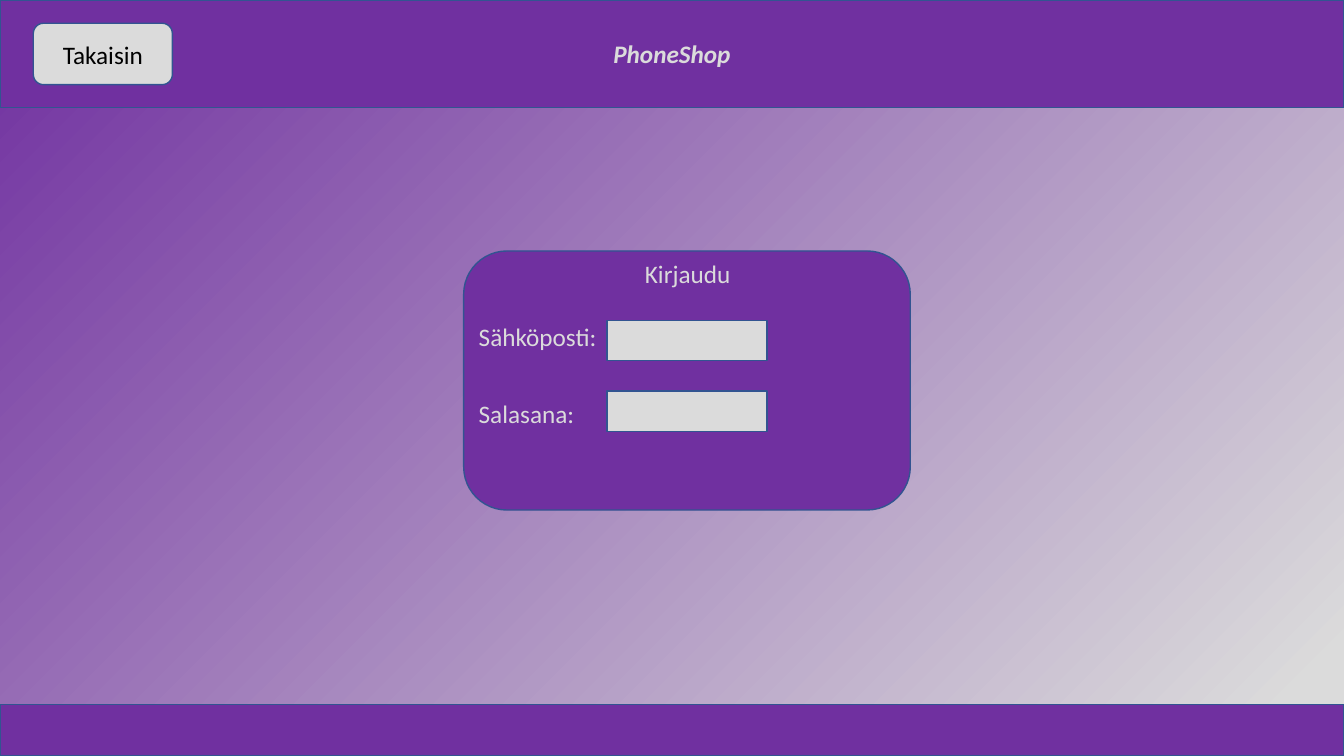
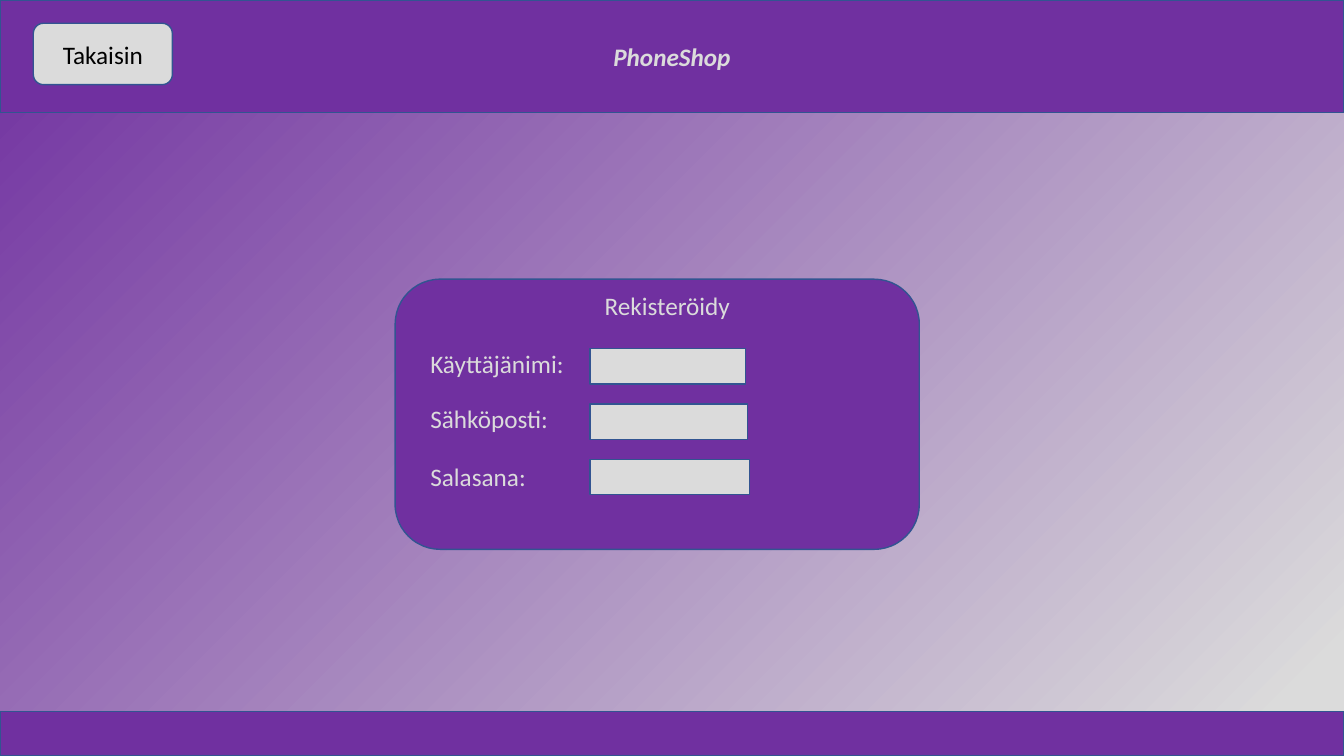
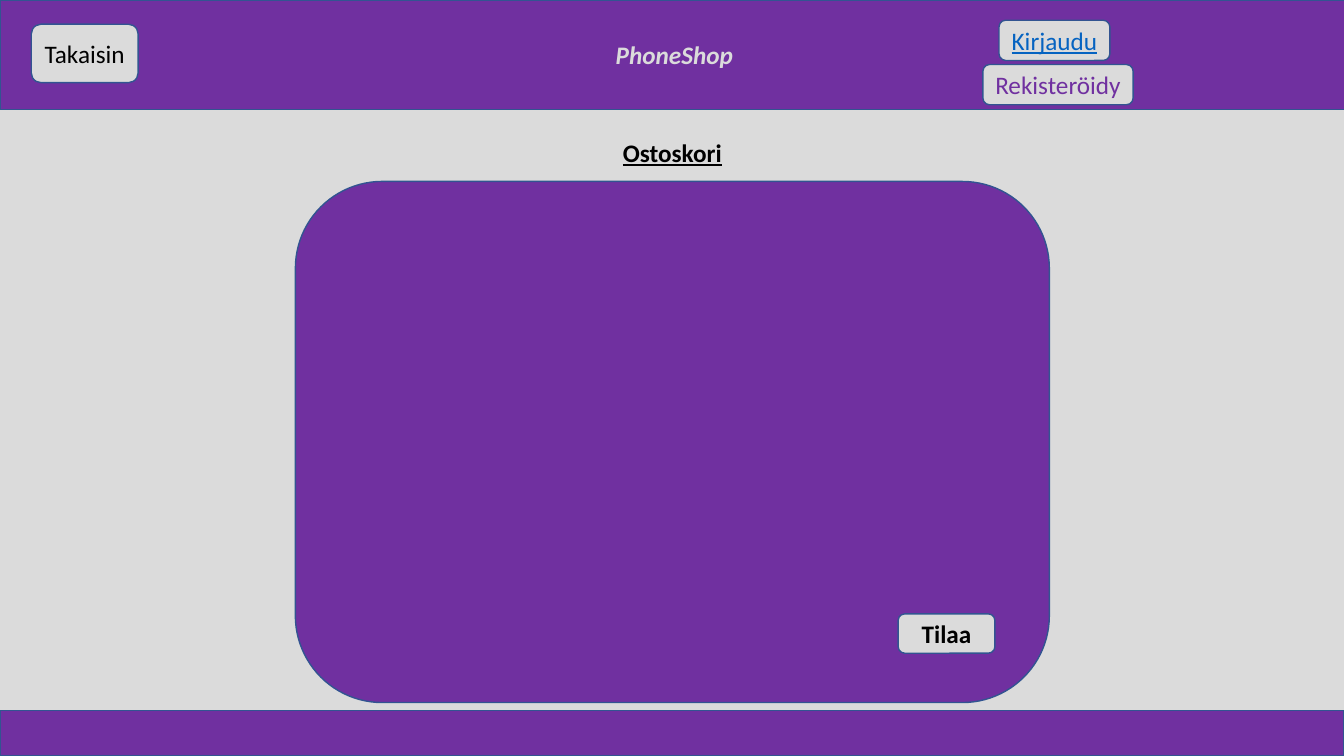
from dataclasses import dataclass

from pptx import Presentation
from pptx.dml.color import RGBColor
from pptx.enum.shapes import MSO_SHAPE as Kind
from pptx.enum.text import MSO_ANCHOR as Anchor, MSO_AUTO_SIZE as Auto, PP_ALIGN as Align
from pptx.shapes.autoshape import Shape
from pptx.slide import Slide
from pptx.text.text import TextFrame
from pptx.util import Inches, Pt

WIDE, HIGH = Inches(13.33), Inches(7.5)
PURPLE, GREY, EDGE, BLACK, BLUE = "7030A0", "DBDBDB", "325491", "000000", "0563C1"
FONT, SIZE = "Calibri", 18
LINE = 5.33  # height of one line of text


@dataclass(frozen=True)
class Box:
    """Place and size, in percent of the slide's width and height."""
    x: float
    y: float
    w: float
    h: float = LINE

    def emu(self) -> tuple[int, int, int, int]:
        return (int(WIDE * self.x / 100), int(HIGH * self.y / 100),
                int(WIDE * self.w / 100), int(HIGH * self.h / 100))


@dataclass(frozen=True)
class Frame:
    """Bands and back button of one page."""
    head: float
    foot: float
    back: Box
    wide: float = 100


@dataclass(frozen=True)
class Row:
    """Label and input field of a form."""
    name: str
    top: float
    wide: float
    field: Box


@dataclass(frozen=True)
class Form:
    frame: Frame
    panel: Box
    title: str
    spot: Box
    left: float
    rows: tuple[Row, ...]


def rgb(code: str) -> RGBColor:
    return RGBColor.from_string(code)


def write(frame: TextFrame, text: str, *, color: str = GREY, bold: bool = False,
          italic: bool = False, under: bool = False, align: Align = Align.CENTER) -> None:
    par = frame.paragraphs[0]
    par.alignment = align
    run = par.add_run()
    run.text = text
    font = run.font
    font.name, font.size = FONT, Pt(SIZE)
    font.bold, font.italic, font.underline = bold, italic, under
    font.color.rgb = rgb(color)


def block(page: Slide, box: Box, fill: str = PURPLE, kind: Kind = Kind.RECTANGLE) -> Shape:
    shape = page.shapes.add_shape(kind, *box.emu())
    shape.shadow.inherit = False
    shape.fill.solid()
    shape.fill.fore_color.rgb = rgb(fill)
    shape.line.color.rgb = rgb(EDGE)
    shape.line.width = Pt(1)
    shape.text_frame.vertical_anchor = Anchor.MIDDLE
    return shape


def button(page: Slide, box: Box, text: str, color: str = BLACK, **style: bool) -> None:
    frame = block(page, box, GREY, Kind.ROUNDED_RECTANGLE).text_frame
    frame.word_wrap = False
    write(frame, text, color=color, **style)


def label(page: Slide, box: Box, text: str, color: str = GREY, **style: bool) -> None:
    frame = page.shapes.add_textbox(*box.emu()).text_frame
    frame.word_wrap = True
    frame.auto_size = Auto.SHAPE_TO_FIT_TEXT
    write(frame, text, color=color, align=Align.LEFT, **style)


def bands(page: Slide, frame: Frame) -> None:
    head = block(page, Box(0, 0, frame.wide, frame.head))
    write(head.text_frame, "PhoneShop", bold=True, italic=True)
    block(page, Box(0, frame.foot, 100, 100 - frame.foot))
    button(page, frame.back, "Takaisin")


def form(page: Slide, data: Form) -> None:
    # Diagonal background
    fill = page.background.fill
    fill.gradient()
    fill.gradient_angle = 315
    for stop, (spot, color) in zip(fill.gradient_stops, ((0, PURPLE), (0.95, GREY))):
        stop.position = spot
        stop.color.rgb = rgb(color)
    bands(page, data.frame)
    # Panel with labels and fields
    block(page, data.panel, kind=Kind.ROUNDED_RECTANGLE)
    label(page, data.spot, data.title)
    for row in data.rows:
        label(page, Box(data.left, row.top, row.wide), row.name)
        block(page, row.field, GREY)


def cart(page: Slide) -> None:
    fill = page.background.fill
    fill.solid()
    fill.fore_color.rgb = rgb(GREY)
    bands(page, Frame(14.53, 94, Box(2.33, 3.2, 7.95, 7.73), 100.35))
    # Cart panel
    block(page, Box(21.98, 24, 56.1, 68.93), kind=Kind.ROUNDED_RECTANGLE)
    label(page, Box(45.6, 17.47, 9), "Ostoskori", BLACK, bold=True, under=True)
    button(page, Box(66.83, 81.2, 7.2, 5.2), "Tilaa", bold=True)
    # Account buttons
    button(page, Box(74.33, 2.67, 8.25), "Kirjaudu", BLUE, under=True)
    button(page, Box(73.13, 8.53, 11.18), "Rekisteröidy", PURPLE)


BACK = Box(2.48, 3.07, 10.35, 8.13)
LOGIN = Form(
    Frame(14.27, 93.2, BACK), Box(34.5, 33.2, 33.23, 34.27),
    "Kirjaudu", Box(47.25, 33.47, 8.4), 34.88,
    tuple(Row(name, top, wide, Box(45.15, 42.4 + 9.33 * i, 11.93))
          for i, (name, top, wide) in enumerate((
              ("Sähköposti:", 41.87, 10.5), ("Salasana:", 52, 8.93)))))
SIGNUP = Form(
    Frame(14.93, 94.13, BACK), Box(29.4, 36.93, 39, 35.73),
    "Rekisteröidy", Box(44.25, 37.73, 11.4), 31.28,
    tuple(Row(name, top, wide, Box(43.9, 46.13 + 7.33 * i, 11.55 + 0.15 * i, 4.67))
          for i, (name, top, wide) in enumerate((
              ("Käyttäjänimi:", 45.47, 11.7), ("Sähköposti:", 52.67, 10.5),
              ("Salasana:", 60.4, 9.3)))))


def main() -> None:
    deck = Presentation()
    deck.slide_width, deck.slide_height = WIDE, HIGH
    blank = deck.slide_layouts[6]
    for data in (LOGIN, SIGNUP):
        form(deck.slides.add_slide(blank), data)
    cart(deck.slides.add_slide(blank))
    deck.save("out.pptx")


if __name__ == "__main__":
    main()
